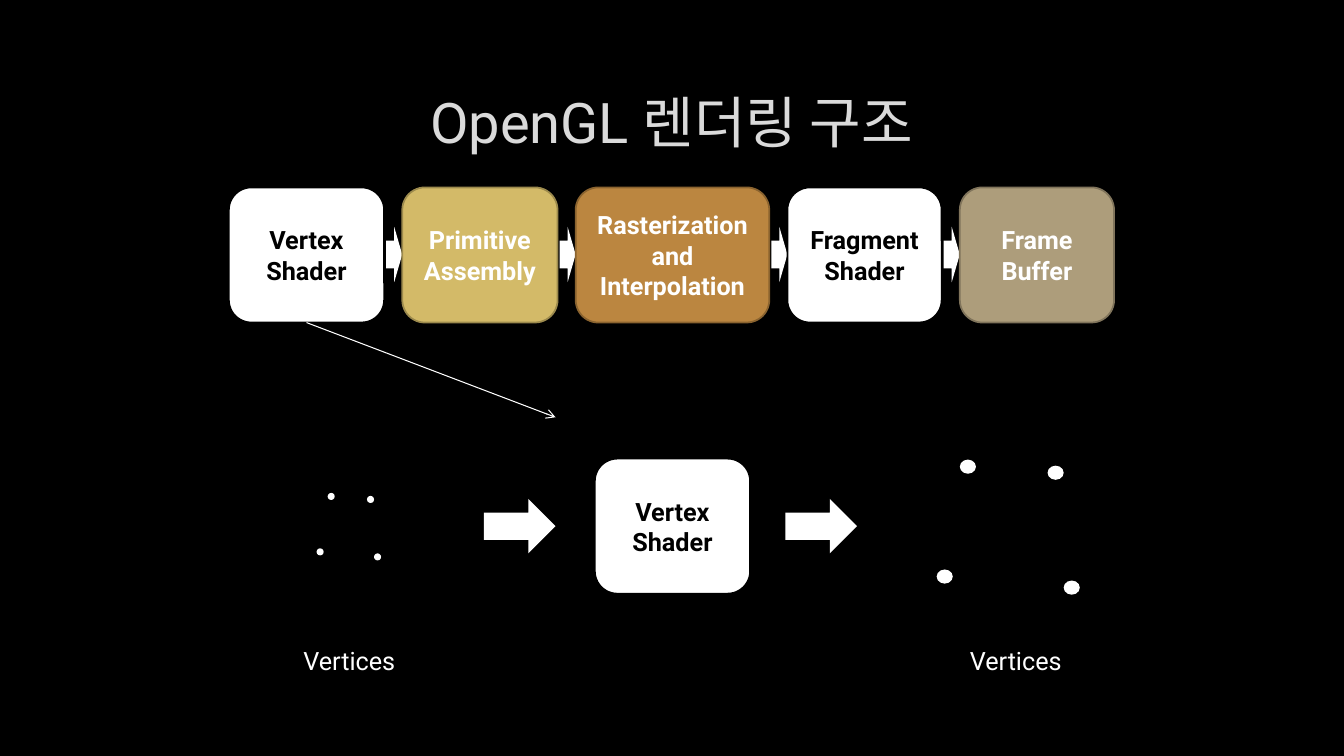
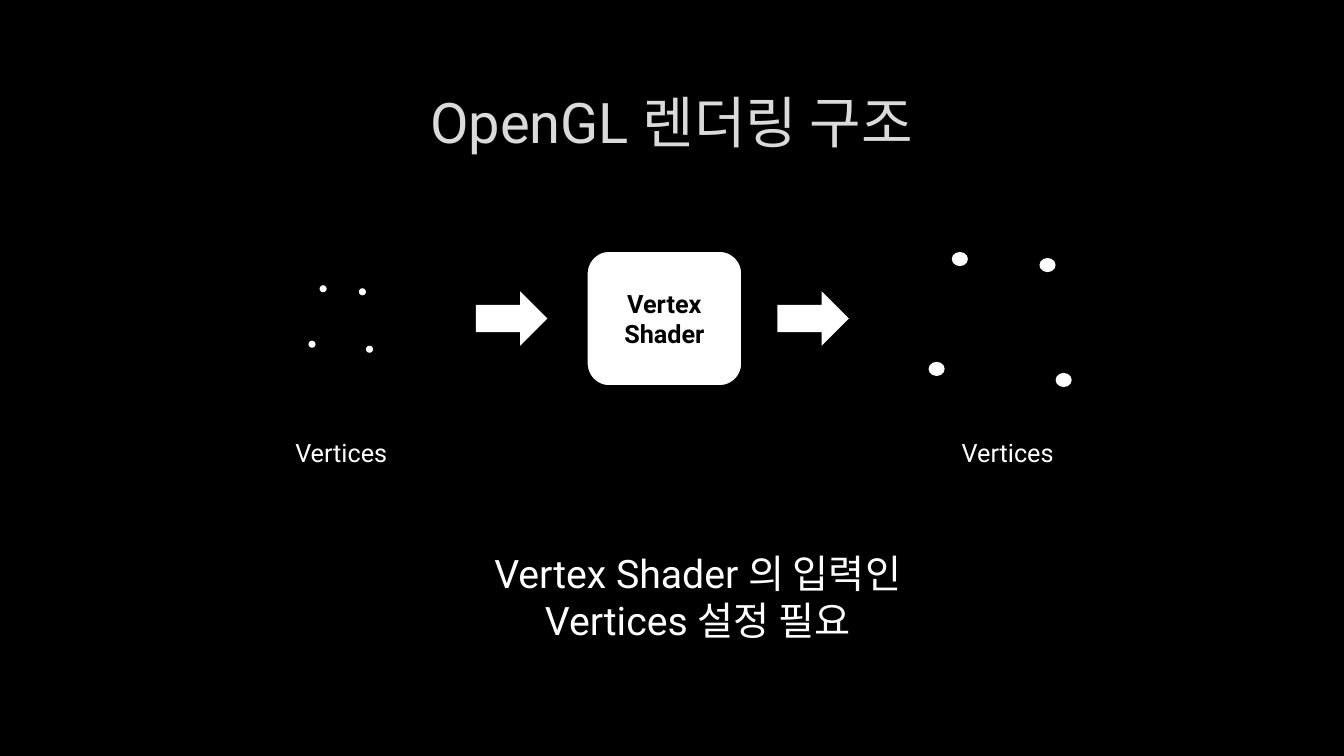
from lxml import etree
from pptx import Presentation
from pptx.dml.color import RGBColor
from pptx.enum.shapes import MSO_CONNECTOR as CONN, MSO_SHAPE as SHAPE
from pptx.enum.text import MSO_ANCHOR as ANCHOR, PP_ALIGN as ALIGN
from pptx.oxml import parse_xml
from pptx.oxml.ns import qn
from pptx.util import Inches, Pt

BLACK = RGBColor(0x00, 0x00, 0x00)
WHITE = RGBColor(0xFF, 0xFF, 0xFF)
TITLE_GREY = RGBColor(0xDA, 0xDA, 0xDA)
SAND = RGBColor(0xD3, 0xBA, 0x68)
SAND_EDGE = RGBColor(0x9C, 0x8A, 0x4D)
COPPER = RGBColor(0xBB, 0x86, 0x40)
COPPER_EDGE = RGBColor(0x8A, 0x63, 0x2F)
TAUPE = RGBColor(0xAD, 0x9D, 0x7B)
TAUPE_EDGE = RGBColor(0x80, 0x74, 0x5B)

FONT = "Roboto"
TITLE_FMT = {"name": FONT, "size": Pt(40)}
STAGE_FMT = {"name": FONT, "size": Pt(18), "bold": True}
LABEL_FMT = {"name": FONT, "size": Pt(18)}
CAPTION_FMT = {"name": FONT, "size": Pt(28)}

TITLE_OUTLINE = (
    '<a:ln xmlns:a="http://schemas.openxmlformats.org/drawingml/2006/main" w="9525">'
    '<a:solidFill><a:srgbClr val="404040"><a:alpha val="10000"/></a:srgbClr></a:solidFill>'
    '<a:prstDash val="solid"/></a:ln>'
)


def add_shape(shapes, kind, box, fill=WHITE, edge=None):
    sp = shapes.add_shape(kind, *map(Inches, box))
    sp.shadow.inherit = False
    sp.fill.solid()
    sp.fill.fore_color.rgb = fill
    if edge is None:
        sp.line.fill.background()
    else:
        sp.line.color.rgb = edge
        sp.line.width = Pt(1.25)
    return sp


def add_text(sp, text, fmt, color, align=ALIGN.CENTER, anchor=ANCHOR.MIDDLE):
    tf = sp.text_frame
    tf.word_wrap = True
    tf.vertical_anchor = anchor
    p = tf.paragraphs[0]
    p.alignment = align
    r = p.add_run()
    r.text = text
    for name, value in fmt.items():
        setattr(r.font, name, value)
    r.font.color.rgb = color
    return r


prs = Presentation()
prs.slide_width, prs.slide_height = Inches(13.33), Inches(7.5)
background = prs.slide_master.background.fill
background.solid()
background.fore_color.rgb = BLACK

STAGE_W, STAGE_H = 1.54, 1.34
SMALL_DOTS = [(3.25, 4.89), (3.14, 5.44), (3.71, 5.49), (3.64, 4.92)]
LARGE_DOTS = [(9.52, 4.56), (9.29, 5.65), (10.55, 5.76), (10.39, 4.62)]

slides = []
for dx, dy in [(0, 0), (-0.08, -2.06)]:
    s = prs.slides.add_slide(prs.slide_layouts[6])
    slides.append(s)

    title = s.shapes.add_textbox(Inches(1), Inches(0.67), Inches(11.32), Inches(1.06))
    r = add_text(title, "OpenGL 렌더링 구조", TITLE_FMT, TITLE_GREY)
    r.font._element.insert(0, parse_xml(TITLE_OUTLINE))

    flow = s.shapes.add_group_shape().shapes
    for dots, w, h in [(SMALL_DOTS, 0.07, 0.07), (LARGE_DOTS, 0.16, 0.14)]:
        for x, y in dots:
            add_shape(flow, SHAPE.FLOWCHART_CONNECTOR, (x + dx, y + dy, w, h))
    for x in (4.8, 7.79):
        add_shape(flow, SHAPE.RIGHT_ARROW, (x + dx, 4.95 + dy, 0.71, 0.54))
    for x in (2.91, 9.52):
        label = flow.add_textbox(Inches(x + dx), Inches(6.35 + dy), Inches(1.18), Inches(0.4))
        add_text(label, "Vertices", LABEL_FMT, WHITE, ALIGN.LEFT, ANCHOR.TOP)
    shader = add_shape(flow, SHAPE.ROUNDED_RECTANGLE,
                       (5.9 + dx, 4.55 + dy, STAGE_W, STAGE_H), WHITE, BLACK)
    add_text(shader, "Vertex Shader", STAGE_FMT, BLACK)

overview, inputs = slides

STAGES = [
    ("Vertex Shader", STAGE_W, WHITE, BLACK, BLACK),
    ("Primitive Assembly", STAGE_W, SAND, SAND_EDGE, WHITE),
    ("Rasterization and Interpolation", 1.92, COPPER, COPPER_EDGE, WHITE),
    ("Fragment Shader", 1.53, WHITE, BLACK, BLACK),
    ("Frame Buffer", 1.53, TAUPE, TAUPE_EDGE, WHITE),
]
STAGE_GAP = 0.18

pipeline = overview.shapes.add_group_shape().shapes
stage_boxes = []
x = 2.27
for text, w, fill, edge, color in STAGES:
    if stage_boxes:
        add_shape(pipeline, SHAPE.RIGHT_ARROW, (x - STAGE_GAP + 0.02, 2.25, 0.16, 0.55))
    sp = add_shape(pipeline, SHAPE.ROUNDED_RECTANGLE, (x, 1.86, w, STAGE_H), fill, edge)
    add_text(sp, text, STAGE_FMT, color)
    stage_boxes.append(sp)
    x += w + STAGE_GAP

pointer = overview.shapes.add_connector(
    CONN.STRAIGHT, Inches(3.04), Inches(3.2), Inches(5.51), Inches(4.14))
pointer.begin_connect(stage_boxes[0], 2)
pointer.line.color.rgb = WHITE
pointer.line.width = Pt(0.75)
etree.SubElement(pointer.line._get_or_add_ln(), qn("a:tailEnd"), type="arrow")
etree.SubElement(pointer._element.spPr, qn("a:effectLst"))

caption = inputs.shapes.add_textbox(Inches(4.01), Inches(5.4), Inches(5.82), Inches(1.04))
caption.text_frame.margin_left = caption.text_frame.margin_right = Inches(0.2)
add_text(caption, "Vertex Shader 의 입력인 Vertices 설정 필요", CAPTION_FMT, WHITE, anchor=ANCHOR.TOP)

prs.save("out.pptx")
